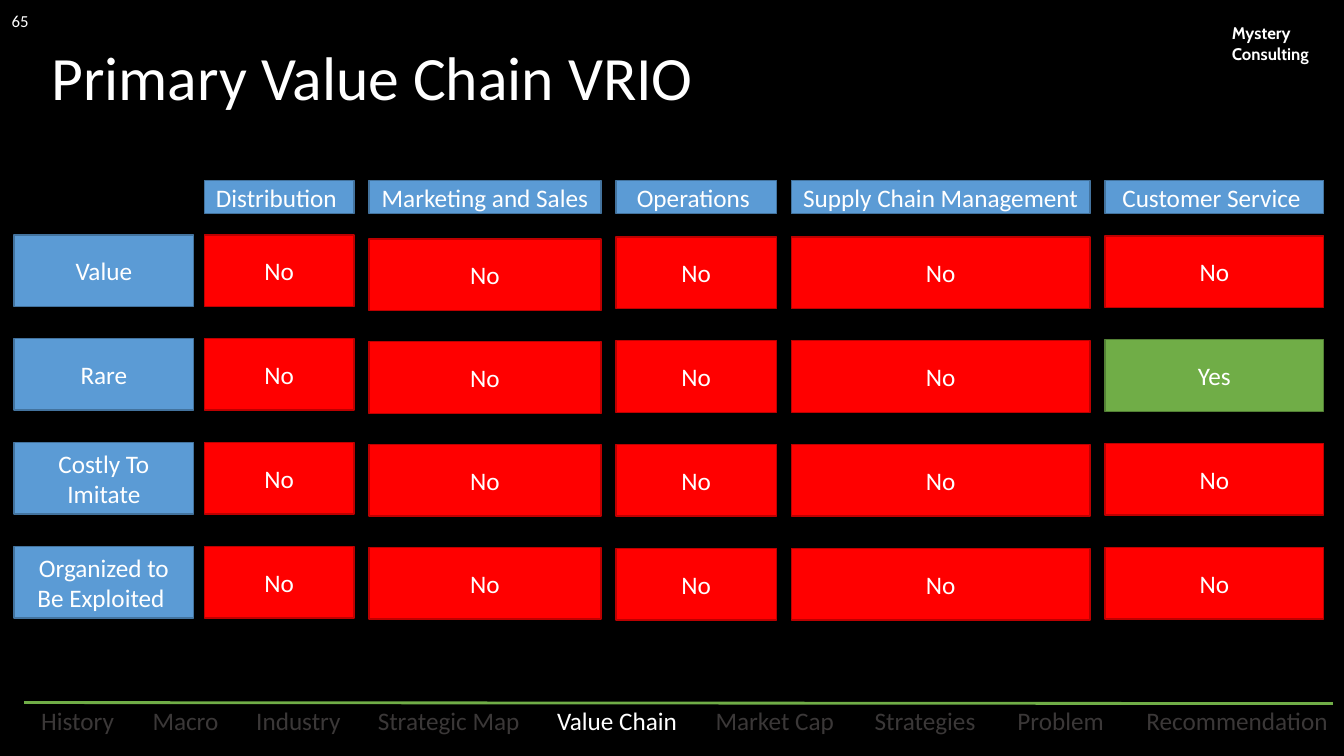
from dataclasses import dataclass
from itertools import accumulate

from lxml import etree
from pptx import Presentation
from pptx import util as u
from pptx.dml.color import RGBColor
from pptx.enum import shapes, text
from pptx.oxml import ns

WIDTH, HEIGHT = 13.33, 7.5


@dataclass(frozen=True)
class Theme:
    font: str = "Calibri"
    brand_font: str = "Cabin"
    title_size: int = 44
    body_size: int = 18
    small_size: int = 12
    background: str = "000000"
    light: str = "FFFFFF"
    muted: str = "3B3838"
    label: tuple = ("5B9BD5", "43739E")
    no: tuple = ("FF0000", "BD0000")
    yes: tuple = ("70AD47", "538035")


THEME = Theme()

# Matrix grid, in inches
LABEL_LEFT, LABEL_WIDTH = 0.14, 1.78
MATRIX_LEFT, COLUMN_GAP = 2.03, 0.15
HEADER_TOP, HEADER_HEIGHT = 1.79, 0.33
ROW_TOP, ROW_PITCH, ROW_HEIGHT = 2.33, 1.03, 0.71
CRITERIA = ["Value", "Rare", "Costly To Imitate", "Organized to Be Exploited "]
# Activity, width, drop below the row labels, row pitch, answers
ACTIVITIES = [
    ("Distribution ", 1.48, 0, ROW_PITCH, ["No"] * 4),
    ("Marketing and Sales", 2.3, 0.04, 1.02, ["No"] * 4),
    ("Operations ", 1.59, 0.02, ROW_PITCH, ["No"] * 4),
    ("Supply Chain Management ", 2.96, 0.02, ROW_PITCH, ["No"] * 4),
    ("Customer Service ", 2.17, 0.01, ROW_PITCH, ["No", "Yes", "No", "No"]),
]

# Navigation strip, in inches
NAV_LEFT, NAV_TOP, NAV_HEIGHT, NAV_GAP = 0.28, 6.99, 0.32, 0.12
CURRENT_SECTION = "Value Chain"
SECTIONS = [
    ("History", 0.98), ("Macro", 0.92), ("Industry", 1.08),
    ("Strategic Map", 1.66), ("Value Chain", 1.44), ("Market Cap", 1.45),
    ("Strategies", 1.29), ("Problem", 1.16), ("Recommendation", 2.1),
]


def share(across, down):
    """Percentages of the slide's width and height as lengths."""
    return u.Inches(WIDTH * across / 100), u.Inches(HEIGHT * down / 100)


def lefts(start, widths, gap):
    """Left edges of items laid side by side with an equal gap."""
    return list(accumulate(widths[:-1], lambda x, w: x + w + gap, initial=start))


def write(frame, words, size=THEME.body_size, color=THEME.light,
          font=THEME.font, align=text.PP_ALIGN.CENTER, bold=False):
    frame.word_wrap = True
    frame.vertical_anchor = text.MSO_ANCHOR.MIDDLE
    paragraph = frame.paragraphs[0]
    paragraph.alignment = align
    run = paragraph.add_run()
    run.text = words
    run.font.name, run.font.size, run.font.bold = font, u.Pt(size), bold
    run.font.color.rgb = RGBColor.from_string(color)
    return paragraph


def add_box(slide, box, words, colors):
    cell = slide.shapes.add_shape(shapes.MSO_SHAPE.RECTANGLE, *map(u.Inches, box))
    cell.shadow.inherit = False
    fill, edge = colors
    cell.fill.solid()
    cell.fill.fore_color.rgb = RGBColor.from_string(fill)
    cell.line.color.rgb = RGBColor.from_string(edge)
    cell.line.width = u.Pt(1)
    write(cell.text_frame, words)


def add_matrix(slide):
    # Row labels
    for row, criterion in enumerate(CRITERIA):
        top = ROW_TOP + row * ROW_PITCH
        add_box(slide, (LABEL_LEFT, top, LABEL_WIDTH, ROW_HEIGHT), criterion, THEME.label)
    # Column headers with their answers
    columns = lefts(MATRIX_LEFT, [activity[1] for activity in ACTIVITIES], COLUMN_GAP)
    for left, (activity, width, drop, pitch, answers) in zip(columns, ACTIVITIES):
        add_box(slide, (left, HEADER_TOP, width, HEADER_HEIGHT), activity, THEME.label)
        for row, answer in enumerate(answers):
            top = ROW_TOP + drop + row * pitch
            colors = THEME.yes if answer == "Yes" else THEME.no
            add_box(slide, (left, top, width, ROW_HEIGHT), answer, colors)


def add_navigation(slide):
    # Rule above the sections
    rule = slide.shapes.add_connector(
        shapes.MSO_CONNECTOR.STRAIGHT, *share(1.8, 92.93), *share(99.18, 93.07))
    rule.line.color.rgb = RGBColor.from_string(THEME.yes[0])
    rule.line.width = u.Pt(2)
    etree.SubElement(rule.element.spPr, ns.qn("a:effectLst"))
    # Sections, with the current one lit
    starts = lefts(NAV_LEFT, [width for _, width in SECTIONS], NAV_GAP)
    for left, (section, width) in zip(starts, SECTIONS):
        tab = slide.shapes.add_shape(
            shapes.MSO_SHAPE.ROUNDED_RECTANGLE,
            *map(u.Inches, (left, NAV_TOP, width, NAV_HEIGHT)))
        tab.shadow.inherit = False
        tab.fill.background()
        tab.line.fill.background()
        color = THEME.light if section == CURRENT_SECTION else THEME.muted
        write(tab.text_frame, section, color=color)
        tab.text_frame.word_wrap = False


def add_heading(slide):
    # Title
    title = slide.shapes.title
    title.left, title.top = share(3.08, 5.33)
    title.width, title.height = share(84.92, 10.53)
    heading = write(title.text_frame, "Primary Value Chain VRIO", THEME.title_size,
                    align=text.PP_ALIGN.LEFT)
    heading.line_spacing = 0.9
    # Slide number
    number = slide.shapes.add_textbox(*share(-0.08, 0.13), *share(3.15, 5.33))
    write(number.text_frame, "65", THEME.small_size)
    # Team name
    team = slide.shapes.add_textbox(*share(90.92, 2.4), *share(8.25, 6.67))
    write(team.text_frame, "Mystery Consulting", THEME.small_size,
          font=THEME.brand_font, align=text.PP_ALIGN.LEFT, bold=True)
    team.text_frame.vertical_anchor = text.MSO_ANCHOR.TOP


def main():
    deck = Presentation()
    deck.slide_width, deck.slide_height = share(100, 100)
    slide = deck.slides.add_slide(deck.slide_layouts[5])
    slide.background.fill.solid()
    slide.background.fill.fore_color.rgb = RGBColor.from_string(THEME.background)
    add_navigation(slide)
    add_heading(slide)
    add_matrix(slide)
    deck.save("out.pptx")


if __name__ == "__main__":
    main()
